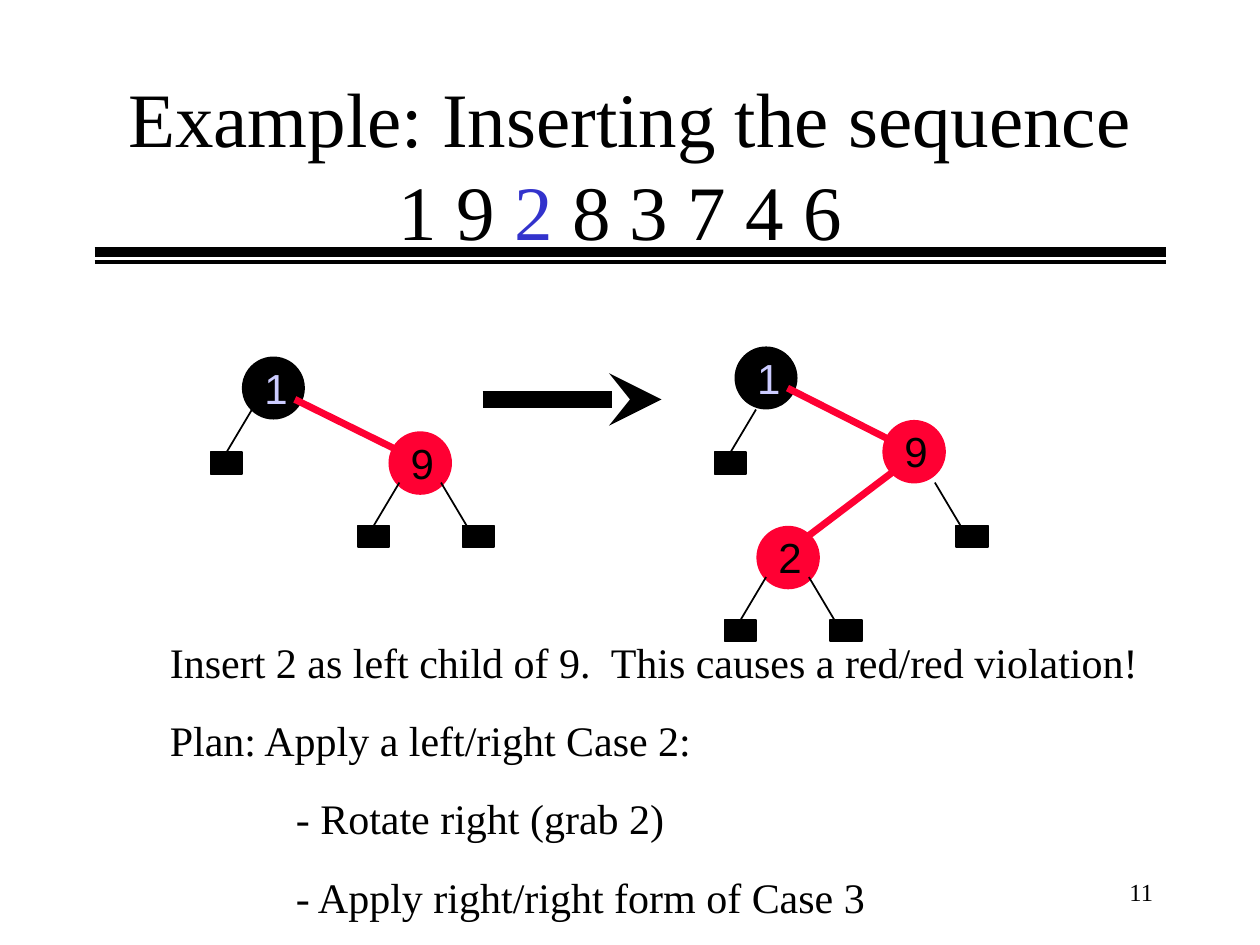
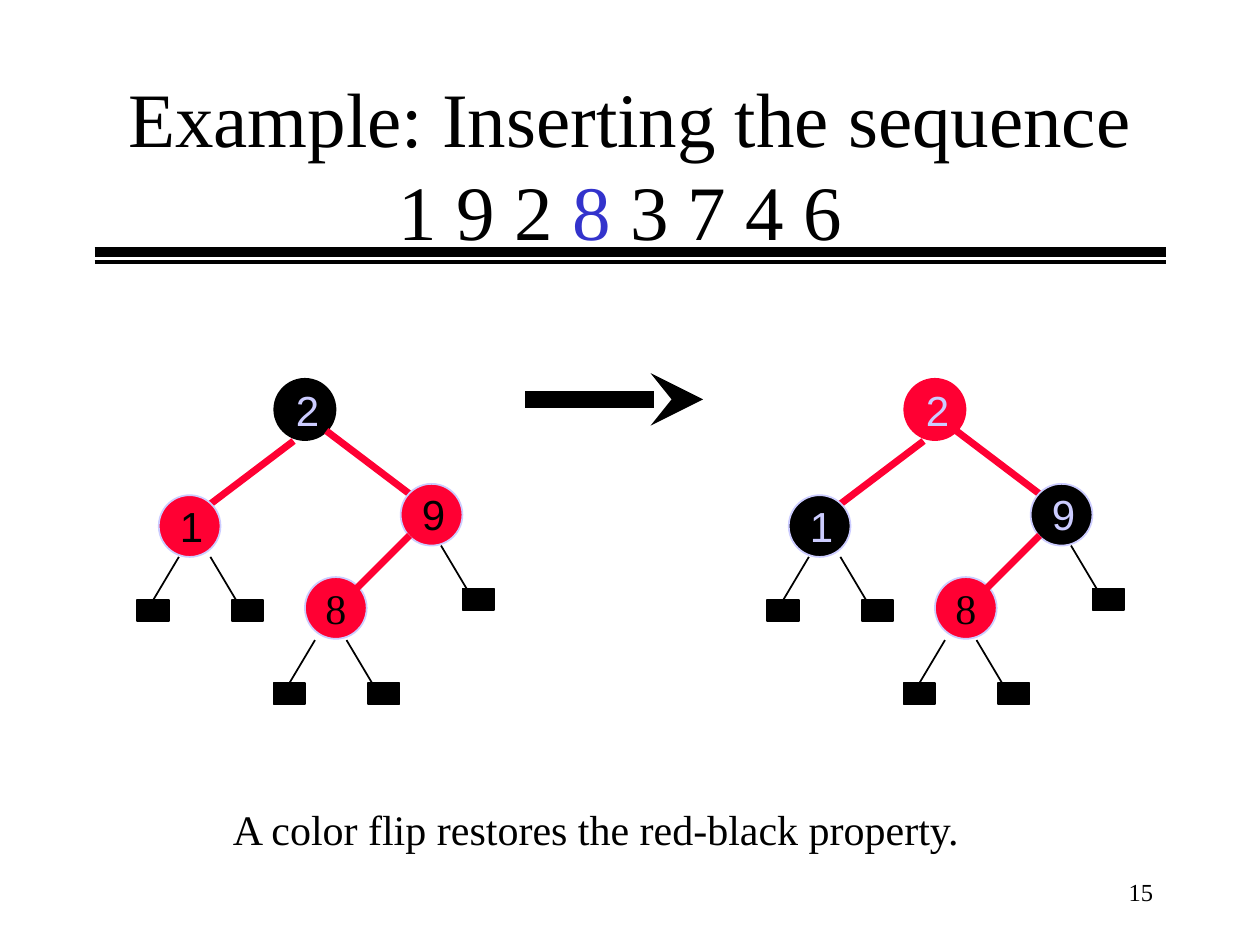
from dataclasses import dataclass

import pptx
import pptx.dml.color
import pptx.enum.shapes
import pptx.enum.text
import pptx.util
from lxml import etree
from pptx.oxml.ns import qn

Inches = pptx.util.Inches
Pt = pptx.util.Pt
RGBColor = pptx.dml.color.RGBColor
Shape = pptx.enum.shapes.MSO_SHAPE
Align = pptx.enum.text.PP_ALIGN
Anchor = pptx.enum.text.MSO_ANCHOR
Fit = pptx.enum.text.MSO_AUTO_SIZE

BLACK = RGBColor(0x00, 0x00, 0x00)
RED = RGBColor(0xFF, 0x00, 0x33)
LILAC = RGBColor(0xCC, 0xCC, 0xFF)
BLUE = RGBColor(0x33, 0x33, 0xCC)
SERIF = "Times New Roman"
SANS = "Arial"
LEFT, RIGHT = -1, 1


@dataclass(frozen=True)
class Twig:
    x: float
    y: float
    side: int


@dataclass(frozen=True)
class Edge:
    x1: float
    y1: float
    x2: float
    y2: float


@dataclass(frozen=True)
class Node:
    key: str
    x: float
    y: float
    fill: RGBColor
    ink: RGBColor
    rim: RGBColor | None = None
    edges: tuple[Edge, ...] = ()
    twigs: tuple[Twig, ...] = ()
    inside: bool = False


def write(frame, *paras: str, size: int = 24, font: str = SERIF,
          color: RGBColor = BLACK, align=Align.LEFT, anchor=Anchor.TOP,
          wrap: bool = True, gap: int = 0, mark: str = "",
          deep: int | None = None) -> None:
    frame.word_wrap = wrap
    frame.auto_size = Fit.NONE
    frame.vertical_anchor = anchor
    for i, words in enumerate(paras):
        para = frame.add_paragraph() if i else frame.paragraphs[0]
        para.alignment = align
        if i:
            para.space_before = Pt(gap)
        if deep is not None and i >= deep:
            para._p.get_or_add_pPr().set("marL", str(Inches(1)))
        for part in words.partition(mark) if mark else (words,):
            run = para.add_run()
            run.text = part
            run.font.size = Pt(size)
            run.font.name = font
            run.font.color.rgb = BLUE if mark and part == mark else color


def box(slide, x: float, y: float, w: float, h: float, *paras: str, **form) -> None:
    area = slide.shapes.add_textbox(Inches(x), Inches(y), Inches(w), Inches(h))
    write(area.text_frame, *paras, **form)


def line(slide, x1: float, y1: float, x2: float, y2: float,
         color: RGBColor = BLACK, width: float = 1, head: bool = False) -> None:
    rule = slide.shapes.add_connector(
        pptx.enum.shapes.MSO_CONNECTOR.STRAIGHT,
        Inches(x1), Inches(y1), Inches(x2), Inches(y2))
    rule.line.color.rgb = color
    rule.line.width = Pt(width)
    if head:
        etree.SubElement(rule.line._get_or_add_ln(), qn("a:tailEnd"), type="stealth")
    etree.SubElement(rule._element.spPr, qn("a:effectLst"))


def form(slide, kind, x: float, y: float, w: float, h: float,
         fill: RGBColor, rim: RGBColor | None):
    shape = slide.shapes.add_shape(kind, Inches(x), Inches(y), Inches(w), Inches(h))
    shape.shadow.inherit = False
    shape.fill.solid()
    shape.fill.fore_color.rgb = fill
    if rim is None:
        shape.line.fill.background()
    else:
        shape.line.color.rgb = rim
        shape.line.width = Pt(1)
    return shape


def sprout(slide, twig: Twig) -> None:
    x, y = twig.x + twig.side * 0.25, twig.y + 0.42
    line(slide, twig.x, twig.y, x, y)
    form(slide, Shape.RECTANGLE, x - 0.08, y - 0.08, 0.25, 0.17, BLACK, BLACK)


def draw(slide, node: Node) -> None:
    inset = 0 if node.rim is None else 0.01
    size = 0.5 - inset
    disc = form(slide, Shape.OVAL, node.x + inset, node.y + inset, size, size,
                node.fill, node.rim)
    if node.inside:
        write(disc.text_frame, node.key, color=node.ink, align=Align.CENTER,
              anchor=Anchor.MIDDLE, wrap=False)
    else:
        box(slide, node.x + 0.08, node.y, 0.75, 0.5, node.key,
            font=SANS, color=node.ink)
    for edge in node.edges:
        line(slide, edge.x1, edge.y1, edge.x2, edge.y2, RED, 4)
    for twig in node.twigs:
        sprout(slide, twig)


def start(deck, mark: str, page: str):
    slide = deck.slides.add_slide(deck.slide_layouts[5])
    line(slide, 0.75, 2, 9.25, 2, width=6)
    line(slide, 0.75, 2.08, 9.25, 2.08, width=2)
    title = slide.shapes.title
    title.left, title.top = Inches(0.75), Inches(0.67)
    title.width, title.height = Inches(8.5), Inches(1.25)
    write(title.text_frame, "Example: Inserting the sequence 1 9 2 8 3 7 4 6 ",
          size=44, align=Align.CENTER, anchor=Anchor.MIDDLE, mark=mark)
    box(slide, 7.17, 6.83, 2.08, 0.5, page, size=14,
        align=Align.RIGHT, anchor=Anchor.MIDDLE)
    return slide


def full(x: float, top: RGBColor, low: RGBColor, ink: RGBColor) -> tuple[Node, ...]:
    return (
        Node("2", x + 2.17, 3, top, LILAC,
             edges=(Edge(x + 2.59, 3.42, x + 3.25, 3.92),
                    Edge(x + 2.33, 3.5, x + 1.67, 4))),
        Node("8", x + 2.41, 4.57, RED, BLACK, LILAC, inside=True,
             twigs=(Twig(x + 2.5, 5.08, LEFT), Twig(x + 2.75, 5.08, RIGHT))),
        Node("9", x + 3.17, 3.83, low, ink, LILAC,
             edges=(Edge(x + 3.25, 4.25, x + 2.75, 4.75),),
             twigs=(Twig(x + 3.5, 4.33, RIGHT),)),
        Node("1", x + 1.25, 3.92, low, ink, LILAC,
             twigs=(Twig(x + 1.42, 4.42, LEFT), Twig(x + 1.67, 4.42, RIGHT))),
    )


BEFORE = (
    Node("1", 1.92, 2.83, BLACK, LILAC, edges=(Edge(2.34, 3.17, 3.17, 3.58),),
         twigs=(Twig(2, 3.25, LEFT),)),
    Node("9", 3.08, 3.42, RED, BLACK, RED,
         twigs=(Twig(3.17, 3.83, LEFT), Twig(3.5, 3.83, RIGHT))),
)
AFTER = (
    Node("1", 5.83, 2.75, BLACK, LILAC, edges=(Edge(6.25, 3.08, 7.08, 3.5),),
         twigs=(Twig(6, 3.25, LEFT),)),
    Node("9", 7, 3.33, RED, BLACK, RED, edges=(Edge(7.08, 3.75, 6.42, 4.25),),
         twigs=(Twig(7.42, 3.83, RIGHT),)),
    Node("2", 6, 4.17, RED, BLACK, RED,
         twigs=(Twig(6.08, 4.58, LEFT), Twig(6.42, 4.58, RIGHT))),
)


def main() -> None:
    deck = pptx.Presentation()
    deck.slide_width, deck.slide_height = Inches(10), Inches(7.5)

    slide = start(deck, "2", "11")
    for node in BEFORE + AFTER:
        draw(slide, node)
    line(slide, 3.83, 3.17, 5.25, 3.17, width=10, head=True)
    box(slide, 1.25, 5, 8, 2.33,
        "Insert 2 as left child of 9.  This causes a red/red violation!",
        "Plan: Apply a left/right Case 2:",
        "- Rotate right (grab 2)",
        "- Apply right/right form of Case 3", gap=16, deep=2)

    slide = start(deck, "8", "15")
    for node in full(0, BLACK, RED, BLACK) + full(5, RED, BLACK, LILAC):
        draw(slide, node)
    line(slide, 4.17, 3.17, 5.58, 3.17, width=10, head=True)
    box(slide, 1.75, 6.33, 6.09, 0.5, "A color flip restores the red-black property.")

    deck.save("out.pptx")


if __name__ == "__main__":
    main()
